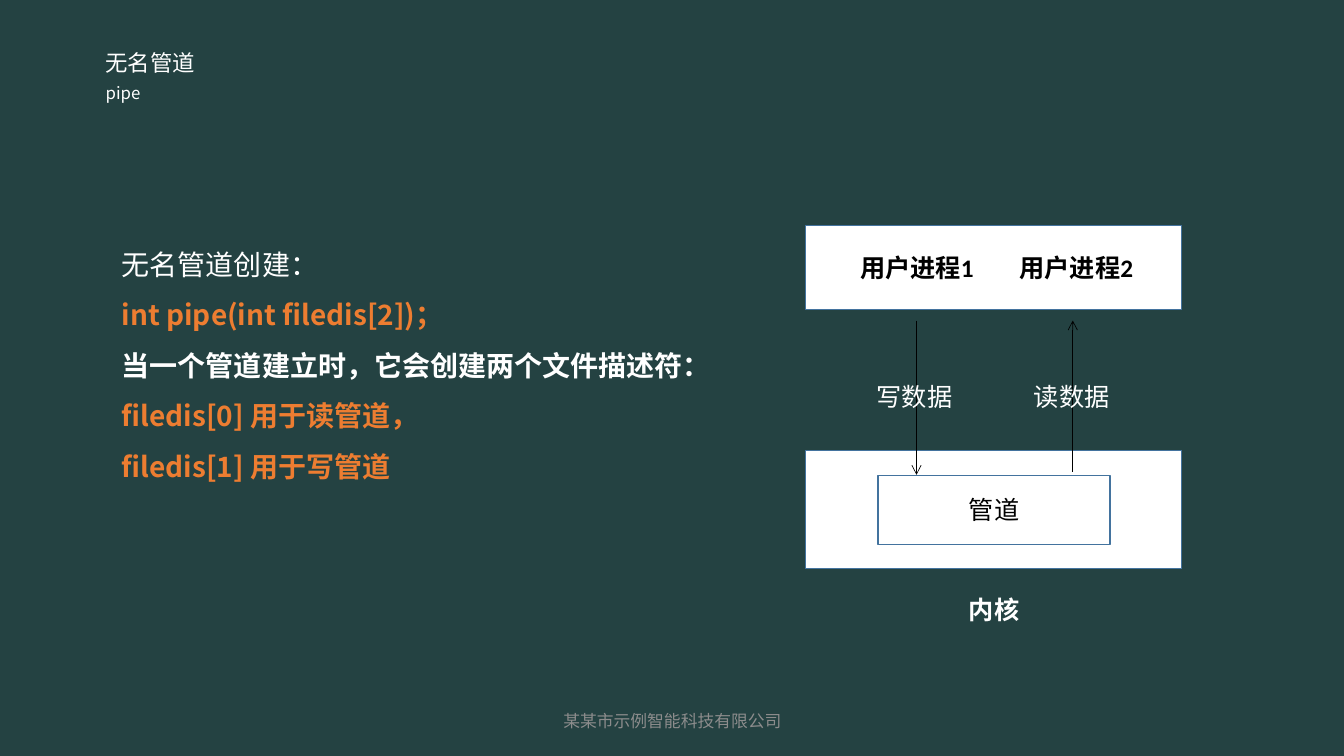
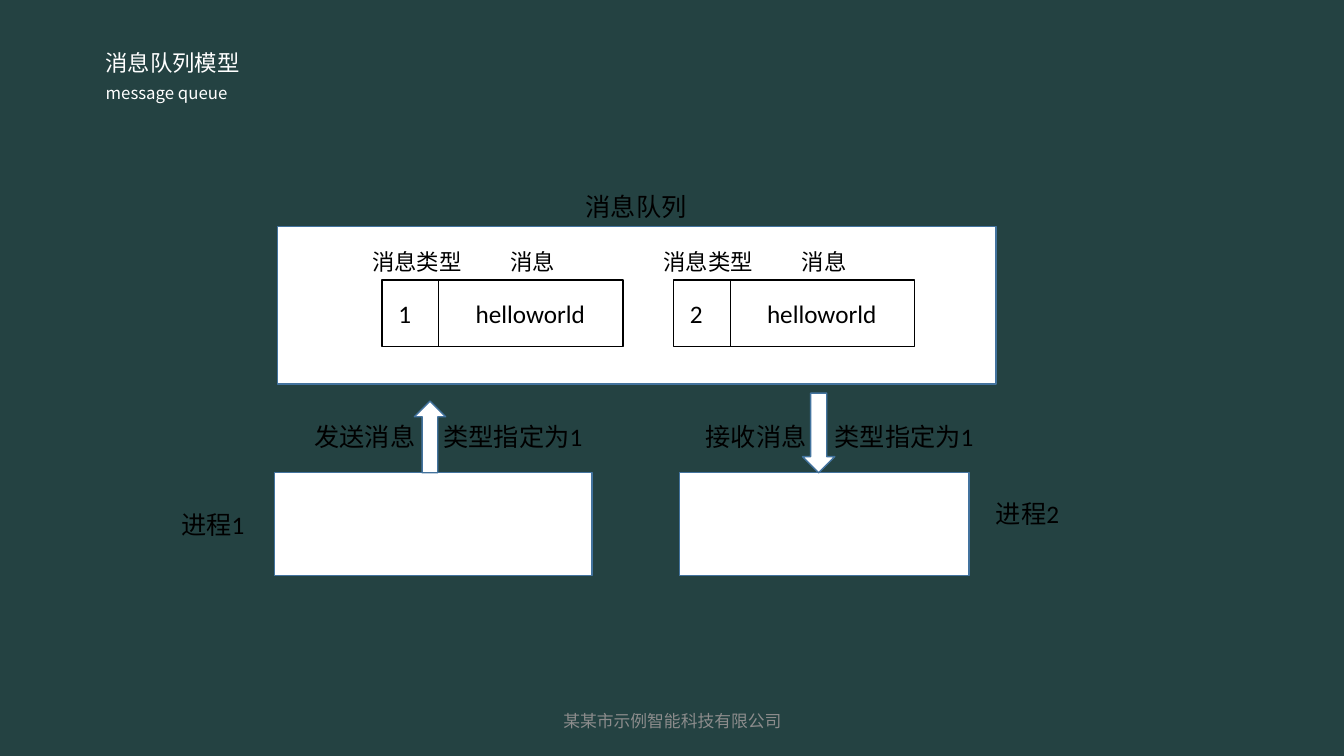
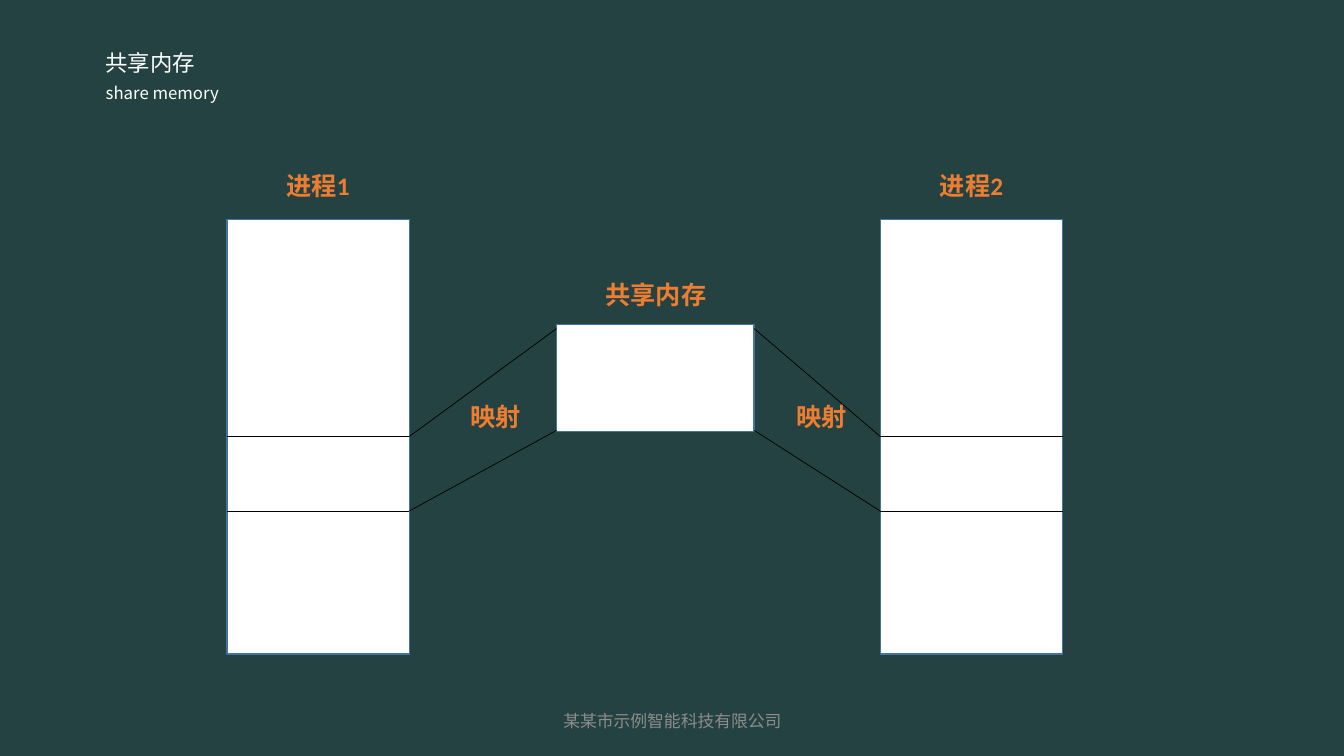
import dataclasses

import pptx
import pptx.dml.color
import pptx.enum.shapes
import pptx.enum.text
import pptx.oxml.ns
import pptx.util
from lxml import etree
from pptx.util import Inches

ALIGN = pptx.enum.text.PP_ALIGN
SHAPE = pptx.enum.shapes.MSO_SHAPE


@dataclasses.dataclass(frozen=True)
class Theme:
    background: str = "244242"
    light: str = "FFFFFF"
    dark: str = "000000"
    accent: str = "ED7D31"
    border: str = "43739E"
    muted: str = "8C8C8C"
    heading_font: str = "Noto Sans CJK SC"
    label_font: str = "Calibri"
    small: int = 12
    medium: int = 16
    label: int = 18
    body: int = 20
    hairline: float = 0.5
    outline: float = 1


def rgb(value):
    return pptx.dml.color.RGBColor.from_string(value)


def add_element(parent, tag, **attributes):
    return etree.SubElement(parent, pptx.oxml.ns.qn(tag), **attributes)


class Deck:
    footer = "某某市示例智能科技有限公司"

    def __init__(self, theme):
        self.theme = theme
        self.presentation = pptx.Presentation()
        self.presentation.slide_width = Inches(13.33)
        self.presentation.slide_height = Inches(7.5)
        backdrop = self.presentation.slide_master.background.fill
        backdrop.solid()
        backdrop.fore_color.rgb = rgb(theme.background)
        self.slide = None

    def start_slide(self, title, subtitle):
        theme = self.theme
        self.slide = self.presentation.slides.add_slide(self.presentation.slide_layouts[6])
        heading = dict(font=theme.heading_font, color=theme.light, align=ALIGN.LEFT)
        self.text(subtitle, 0.95, 0.77, 6.07, 0.3, size=theme.small, **heading)
        self.text(title, 0.95, 0.44, 3.83, 0.37, size=theme.medium, **heading)
        footer = self.text(self.footer, 4.42, 6.95, 4.5, size=theme.small, color=theme.muted)
        footer.vertical_anchor = pptx.enum.text.MSO_ANCHOR.MIDDLE

    def text(self, content, left, top, width, height=0.4, size=None, color=None,
             bold=False, align=ALIGN.CENTER, font=None):
        box = self.slide.shapes.add_textbox(Inches(left), Inches(top), Inches(width), Inches(height))
        frame = box.text_frame
        frame.word_wrap = True
        frame.text = content
        for paragraph in frame.paragraphs:
            paragraph.alignment = align
            self.style(paragraph, size or self.theme.label, color or self.theme.dark,
                       bold, font or self.theme.label_font)
        return frame

    def style(self, paragraph, size, color, bold, font):
        for run in paragraph.runs:
            run.font.size = pptx.util.Pt(size)
            run.font.bold = bold
            run.font.color.rgb = rgb(color)
            run.font.name = font
            add_element(run._r.get_or_add_rPr(), "a:ea", typeface=self.theme.heading_font)

    def code_notes(self, lines, left, top, width, height):
        frame = self.text("\n".join(content for content, _, _ in lines), left, top, width, height,
                          size=self.theme.body, align=ALIGN.LEFT, font=self.theme.heading_font)
        for paragraph, (_, color, bold) in zip(frame.paragraphs, lines):
            paragraph.line_spacing = 1.5
            for run in paragraph.runs:
                run.font.color.rgb = rgb(color)
                run.font.bold = bold

    def split_label(self, before, after, left, top, width, gap_end):
        frame = self.text(f"{before}\t{after}", left, top, width, align=ALIGN.LEFT)
        stops = add_element(frame.paragraphs[0]._p.get_or_add_pPr(), "a:tabLst")
        add_element(stops, "a:tab", pos=str(Inches(gap_end)), algn="l")

    def block(self, left, top, width, height, border=None, kind=SHAPE.RECTANGLE):
        block = self.slide.shapes.add_shape(
            kind, Inches(left), Inches(top), Inches(width), Inches(height))
        block.shadow.inherit = False
        block.fill.solid()
        block.fill.fore_color.rgb = rgb(self.theme.light)
        block.line.color.rgb = rgb(border or self.theme.border)
        block.line.width = pptx.util.Pt(self.theme.outline)

    def line(self, start_x, start_y, end_x, end_y, arrow=False):
        line = self.slide.shapes.add_connector(
            pptx.enum.shapes.MSO_CONNECTOR.STRAIGHT,
            Inches(start_x), Inches(start_y), Inches(end_x), Inches(end_y))
        line.line.color.rgb = rgb(self.theme.dark)
        line.line.width = pptx.util.Pt(self.theme.hairline)
        if arrow:
            add_element(line.line._get_or_add_ln(), "a:tailEnd", type="arrow")
        add_element(line._element.spPr, "a:effectLst")

    def message(self, left, top, number):
        theme = self.theme
        width, height, type_width = 2.39, 0.66, 0.56
        divider = left + type_width
        self.block(left, top, width, height, border=theme.dark)
        for column, caption in enumerate(("消息类型", "消息")):
            self.text(caption, left - 0.23 + 1.15 * column, top - 0.37, 1.15, 0.37, size=theme.medium)
        self.text(number, left, top + 0.13, 0.45)
        self.text("helloworld", divider, top + 0.13, 1.82)
        self.line(divider, top, divider, top + height)


def build_pipe(deck):
    theme = deck.theme
    deck.start_slide("无名管道", "pipe")
    deck.code_notes([
        ("无名管道创建：", theme.light, False),
        ("int pipe(int filedis[2])；", theme.accent, True),
        ("当一个管道建立时，它会创建两个文件描述符：", theme.light, True),
        ("filedis[0] 用于读管道，", theme.accent, True),
        ("filedis[1] 用于写管道", theme.accent, True),
    ], 1.11, 2.24, 6.44, 2.62)

    deck.block(7.99, 2.24, 3.73, 0.83)
    for index, process in enumerate(("用户进程1", "用户进程2")):
        deck.text(process, 8.31 + 1.58 * index, 2.45, 1.57, bold=True)
    deck.block(7.99, 4.47, 3.73, 1.17)
    deck.text("内核", 9.35, 5.85, 1.02, color=theme.light, bold=True)
    deck.block(8.71, 4.72, 2.3, 0.68)
    deck.text("管道", 9.08, 4.86, 1.56)
    deck.line(9.09, 3.18, 9.09, 4.71, arrow=True)
    deck.line(10.64, 4.68, 10.64, 3.18, arrow=True)
    for index, action in enumerate(("写数据", "读数据")):
        deck.text(action, 8.31 + 1.56 * index, 3.73, 1.52, color=theme.light)


def build_message_queue(deck):
    deck.start_slide("消息队列模型", "message queue")
    deck.block(2.75, 2.25, 7.13, 1.56)
    for left, number in ((3.79, "1"), (6.68, "2")):
        deck.message(left, 2.78, number)
    deck.text("消息队列", 5.21, 1.85, 2.2)

    process_top = 4.69
    deck.block(2.72, process_top, 3.15, 1.02)
    deck.block(4.11, 3.98, 0.31, 0.71, kind=SHAPE.UP_ARROW)
    deck.block(6.74, process_top, 2.87, 1.02)
    deck.block(7.96, 3.9, 0.32, 0.79, kind=SHAPE.DOWN_ARROW)
    for action, left in (("发送消息", 3.02), ("接收消息", 6.9)):
        deck.split_label(action, "类型指定为1", left, 4.13, 3.32, gap_end=1.28)
    for process, left, top in (("进程1", 1.7, 5), ("进程2", 9.78, 4.89)):
        deck.text(process, left, top, 2.61, align=ALIGN.LEFT)


def build_shared_memory(deck):
    deck.start_slide("共享内存", "share memory")
    accent = dict(color=deck.theme.accent, bold=True)
    process_width, label_width = 1.81, 1.25
    memory_left, memory_width = 5.52, 1.96
    mapped_edges = ((4.33, 3.26), (5.07, 4.27))

    deck.block(memory_left, 3.22, memory_width, 1.06)
    deck.text("共享内存", 5.88, 2.72, label_width, **accent)
    sides = (
        ("进程1", 2.25, 2.25 + process_width, memory_left, 4.29),
        ("进程2", 8.73, 8.73, memory_left + memory_width, 7.52),
    )
    for process, left, inner_edge, memory_edge, mapping_left in sides:
        deck.block(left, 2.18, process_width, 4.31)
        deck.text(process, left + (process_width - label_width) / 2, 1.64, label_width, **accent)
        for process_y, memory_y in mapped_edges:
            deck.line(left, process_y, left + process_width, process_y)
            deck.line(inner_edge, process_y, memory_edge, memory_y)
        deck.text("映射", mapping_left, 3.93, label_width, **accent)


def main():
    deck = Deck(Theme())
    build_pipe(deck)
    build_message_queue(deck)
    build_shared_memory(deck)
    deck.presentation.save("out.pptx")


if __name__ == "__main__":
    main()
